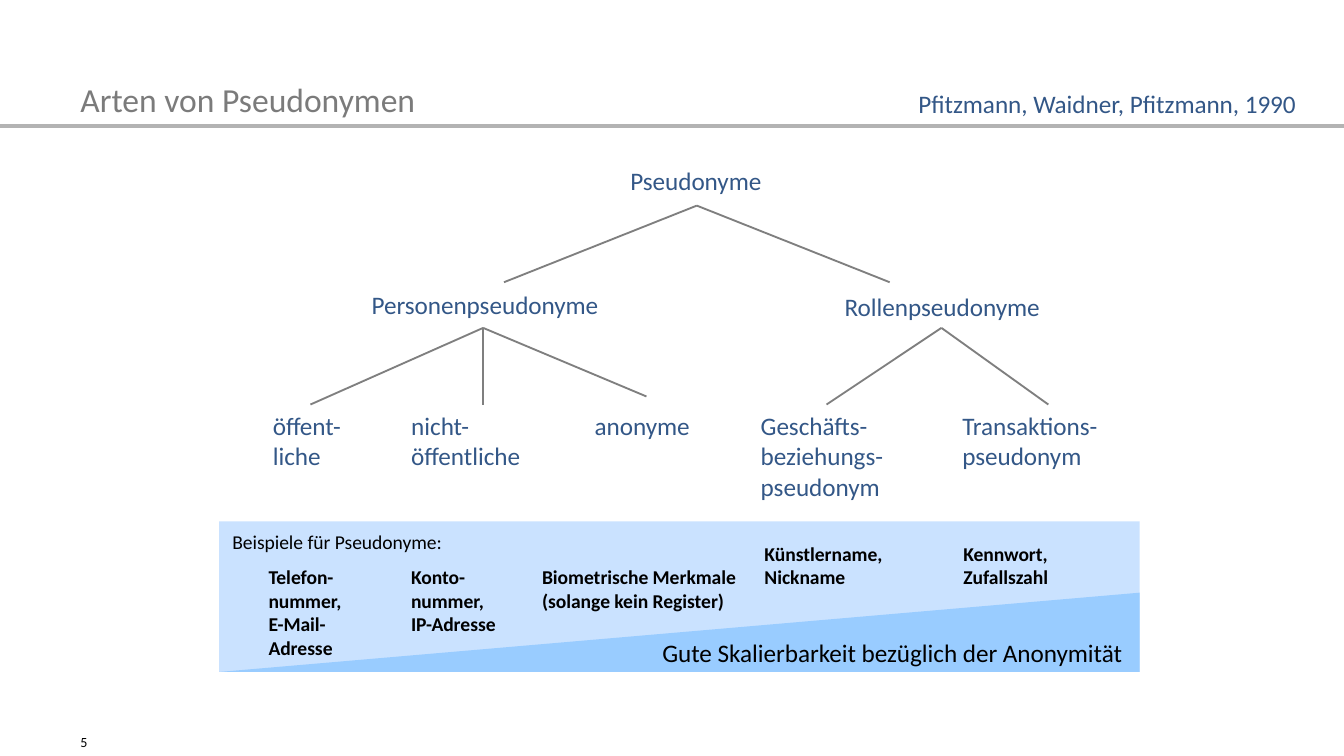
"""Build the slide on kinds of pseudonyms as a tree above a panel of examples."""

from dataclasses import dataclass
from typing import Any, Optional

import pptx
import pptx.dml.color
import pptx.enum.shapes
import pptx.enum.text
import pptx.oxml
import pptx.util

COLUMNS = 100
ROWS = COLUMNS * 9 / 16
CELL = pptx.util.Inches(0.1)
FONT = "Calibri"
BLUE, BLACK, GREY = "335787", "000000", "7F7F7F"
LEVEL_ROW, BRANCH_ROW, LEAF_ROW = 20.95, 24.4, 29.95
TIP_ROW, EXAMPLE_ROW = 30.1, 41.55
PANEL_LEFT, PANEL_TOP, PANEL_WIDTH, PANEL_HEIGHT = 16.3, 38.8, 68.5, 11.2
WEDGE_HEIGHT = 5.9
BOTTOM = pptx.enum.text.MSO_ANCHOR.BOTTOM
RIGHT = pptx.enum.text.PP_ALIGN.RIGHT


@dataclass(frozen=True)
class Label:
    """A text with its place in grid cells and its look."""

    text: str
    column: float
    row: float
    width: float
    height: float
    size: float = 13.5
    color: str = BLUE
    bold: bool = False
    wrap: bool = True
    inset: tuple[float, float] = (1, 0.5)
    anchor: Any = pptx.enum.text.MSO_ANCHOR.TOP
    align: Any = pptx.enum.text.PP_ALIGN.LEFT


@dataclass(frozen=True)
class Branch:
    """A tree line, joined to a parent label where one is named."""

    start: tuple[float, float]
    end: tuple[float, float]
    parent: Optional[str] = None


def node(text: str, column: float, row: float, width: float, height: float = 3.6) -> Label:
    """Describe one label of the tree."""
    return Label(text, column, row, width, height, wrap=False, inset=(1.3, 0.6))


def example(text: str, column: float, row: float, width: float, height: float, wrap: bool = True) -> Label:
    """Describe one bold example in the panel."""
    return Label(text, column, row, width, height, 10.5, BLACK, True, wrap)


HEADINGS = (
    Label("5", 5, 54, 11.7, 2.3, 7.5, BLACK, anchor=BOTTOM),
    Label("Arten von Pseudonymen", 5, 1, 92.5, 8.4, 18, "7B7B7B", anchor=BOTTOM),
    Label("Pfitzmann, Waidner, Pfitzmann, 1990", 24, 6.2, 73.4, 3.1, anchor=BOTTOM, align=RIGHT),
)

NODES = (
    node("Pseudonyme", 45.6, 11.7, 12.5),
    node("Personenpseudonyme", 26.35, LEVEL_ROW, 19.8),
    node("Rollenpseudonyme", 61.55, LEVEL_ROW + 0.1, 17.4),
    node("öffent-\nliche", 19, LEAF_ROW, 7.8, 8.1),
    node("nicht-\nöffentliche", 29.3, LEAF_ROW, 10.9, 8.1),
    node("anonyme", 42.95, LEAF_ROW, 9.8, 5.8),
    node("Geschäfts-\nbeziehungs-\npseudonym", 55.3, LEAF_ROW, 11.9, 10.4),
    node("Transaktions-\npseudonym", 70.3, LEAF_ROW, 12.8, 8.1),
)

BRANCHES = (
    Branch((51.9, 15.1), (66.2, 21), "Pseudonyme"),
    Branch((51.9, 15.1), (37.5, 21), "Pseudonyme"),
    Branch((35.95, BRANCH_ROW), (23.1, TIP_ROW)),
    Branch((35.95, BRANCH_ROW), (35.95, TIP_ROW)),
    Branch((35.95, BRANCH_ROW), (48.1, 29.5)),
    Branch((70.05, BRANCH_ROW), (61.5, TIP_ROW)),
    Branch((70.05, BRANCH_ROW), (78, TIP_ROW)),
)

EXAMPLES = (
    example("Telefon-nummer, \vE-Mail-Adresse", 19, EXAMPLE_ROW, 9.6, 8.1),
    example("Konto-\nnummer,\nIP-Adresse", 29.6, EXAMPLE_ROW, 8.5, 6.3, False),
    example("Biometrische Merkmale\n(solange kein Register)", 39.35, EXAMPLE_ROW, 17.1, 4.5),
    example("Künstlername, Nickname", 55.9, 39.8, 11.3, 4.5),
    example("Kennwort, Zufallszahl", 70.7, 39.8, 9.4, 4.5),
    Label("Beispiele für Pseudonyme:", PANEL_LEFT, 38.9, 17.9, 2.8, 10.5, BLACK, wrap=False, anchor=BOTTOM),
)

SCALE_LABEL = Label(
    "Gute Skalierbarkeit bezüglich der Anonymität", 29.2, 47, 55, 3,
    color=BLACK, inset=(0.7, 0.4), align=RIGHT,
)


def cells(*counts: float) -> list[int]:
    """Turn counts of grid cells into slide lengths."""
    return [round(count * CELL) for count in counts]


def paint(fill: Any, color: str) -> None:
    """Give a fill a solid colour."""
    fill.solid()
    fill.fore_color.rgb = pptx.dml.color.RGBColor.from_string(color)


def draw_label(shapes: Any, label: Label) -> Any:
    """Draw a label as a text box."""
    shape = shapes.add_textbox(*cells(label.column, label.row, label.width, label.height))
    text_frame = shape.text_frame
    text_frame.word_wrap = label.wrap
    text_frame.vertical_anchor = label.anchor
    horizontal, vertical = cells(*label.inset)
    text_frame.margin_left = text_frame.margin_right = horizontal
    text_frame.margin_top = text_frame.margin_bottom = vertical
    text_frame.text = label.text
    for paragraph in text_frame.paragraphs:
        paragraph.alignment = label.align
        for run in paragraph.runs:
            run.font.name = FONT
            run.font.size = pptx.util.Pt(label.size)
            run.font.bold = label.bold
            paint(run.font.fill, label.color)
    return shape


def draw_line(shapes: Any, start: tuple[float, float], end: tuple[float, float], color: str, width: float) -> Any:
    """Draw a straight line without a shadow."""
    connector = shapes.add_connector(
        pptx.enum.shapes.MSO_CONNECTOR.STRAIGHT, *cells(*start, *end)
    )
    paint(connector.line.fill, color)
    connector.line.width = pptx.util.Pt(width)
    properties = connector._element.spPr
    properties.append(pptx.oxml.parse_xml(
        '<a:effectLst xmlns:a="http://schemas.openxmlformats.org/drawingml/2006/main"/>'
    ))
    return connector


def finish_area(shape: Any, color: str) -> None:
    """Make a shape a plain area of one colour."""
    shape.shadow.inherit = False
    paint(shape.fill, color)
    shape.line.fill.background()


def draw_tree(shapes: Any) -> None:
    """Draw the tree labels and the lines between them."""
    boxes = {label.text: draw_label(shapes, label) for label in NODES}
    for branch in BRANCHES:
        connector = draw_line(shapes, branch.start, branch.end, GREY, 1)
        if branch.parent:
            connector.begin_connect(boxes[branch.parent], 2)


def draw_panel(shapes: Any) -> None:
    """Draw the examples and the rising wedge."""
    group = shapes.add_group_shape()
    panel = group.shapes.add_shape(
        pptx.enum.shapes.MSO_SHAPE.RECTANGLE,
        *cells(PANEL_LEFT, PANEL_TOP, PANEL_WIDTH, PANEL_HEIGHT),
    )
    finish_area(panel, "CAE2FF")
    for label in EXAMPLES:
        draw_label(group.shapes, label)
    right, bottom = PANEL_LEFT + PANEL_WIDTH, PANEL_TOP + PANEL_HEIGHT
    builder = shapes.build_freeform(*cells(PANEL_LEFT, bottom))
    corners = ((right, bottom - WEDGE_HEIGHT), (right, bottom))
    builder.add_line_segments([tuple(cells(*corner)) for corner in corners], close=True)
    finish_area(builder.convert_to_shape(), "99CCFF")
    draw_label(shapes, SCALE_LABEL)


def main() -> None:
    """Build and save the presentation."""
    presentation = pptx.Presentation()
    presentation.slide_width, presentation.slide_height = cells(COLUMNS, ROWS)
    slide = presentation.slides.add_slide(presentation.slide_layouts[6])
    draw_line(slide.shapes, (0, 9.4), (COLUMNS, 9.4), "B3B3B3", 2)
    for label in HEADINGS:
        draw_label(slide.shapes, label)
    draw_tree(slide.shapes)
    draw_panel(slide.shapes)
    presentation.save("out.pptx")


if __name__ == "__main__":
    main()
